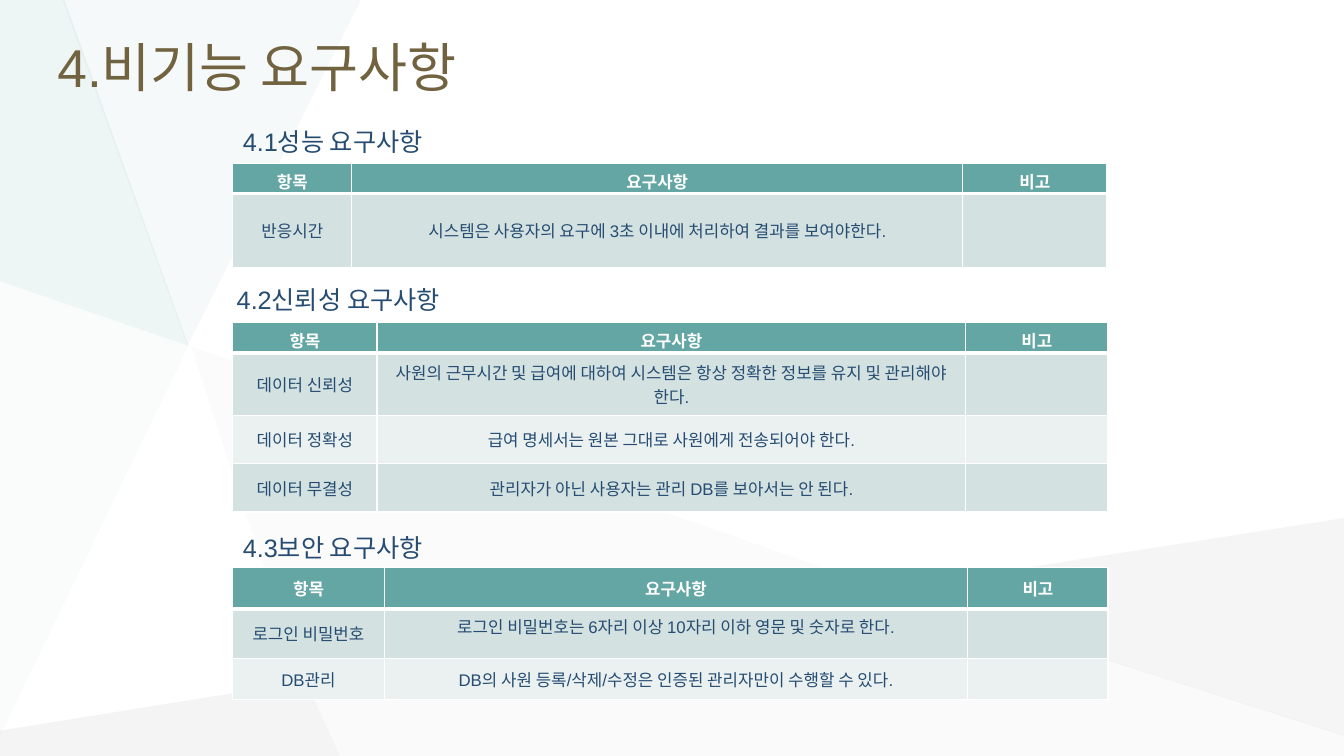
from dataclasses import dataclass

import pptx
import pptx.dml.color
import pptx.enum.text
import pptx.oxml
import pptx.oxml.ns
import pptx.util
from pptx.util import Inches

ANCHOR = pptx.enum.text.MSO_ANCHOR
ALIGN = pptx.enum.text.PP_ALIGN
AUTO_SIZE = pptx.enum.text.MSO_AUTO_SIZE


@dataclass(frozen=True)
class Theme:
    font: str = "Arial"
    title_size: int = 38
    heading_size: int = 18
    cell_size: int = 12
    title: str = "716340"
    ink: str = "264C72"
    white: str = "FFFFFF"
    header: str = "63A6A4"
    bands: tuple = ("D3E1E0", "EAF1F0")
    rule: int = 1
    header_rule: int = 3


THEME = Theme()

# Each facet: colour, opacity in percent, corner points in inches
FACETS = [
    ("F3F2F2", 26, [(1.9, 3.44), (2.41, 5.02), (3.04, 6.76), (8.79, 5.85)]),
    ("B6B8BA", 15, [(3.04, 6.76), (0, 7.25), (0, 7.5), (3.37, 7.5)]),
    ("E0EDED", 31, [(3.58, 0), (0.62, 0), (1.86, 3.43)]),
    ("C6C8CA", 17, [(13.33, 5.14), (8.79, 5.85), (13.33, 7.3)]),
    ("B6B8BA", 6, [(8.79, 5.85), (3.05, 6.76), (3.37, 7.5), (13.33, 7.5), (13.33, 7.29)]),
    ("C1DBDB", 27, [(0.64, 0), (0, 0), (0, 2.79), (1.87, 3.43)]),
    ("C1DBDB", 8, [(0, 2.79), (0, 7.3), (1.87, 3.43)]),
]

TABLE_LEFT = 2.31
COLUMN_TITLES = ("항목", "요구사항", "비고")

SECTIONS = [
    dict(
        heading="4.1성능 요구사항", heading_at=(2.31, 1.2), table_top=1.62,
        columns=(1.18, 6.06, 1.43), heights=(0.3, 0.73),
        requirements=[
            ("반응시간", "시스템은 사용자의 요구에 3초 이내에 처리하여 결과를 보여야한다."),
        ],
    ),
    dict(
        heading="4.2신뢰성 요구사항", heading_at=(2.25, 2.77), table_top=3.2,
        columns=(1.43, 5.84, 1.41), heights=(0.3, 0.62, 0.48, 0.48),
        requirements=[
            ("데이터 신뢰성",
             "사원의 근무시간 및 급여에 대하여 시스템은 항상 정확한 정보를 유지 및 관리해야 한다."),
            ("데이터 정확성", "급여 명세서는 원본 그대로 사원에게 전송되어야 한다."),
            ("데이터 무결성", "관리자가 아닌 사용자는 관리 DB를 보아서는 안 된다."),
        ],
    ),
    dict(
        heading="4.3보안 요구사항", heading_at=(2.31, 5.23), table_top=5.63,
        columns=(1.5, 5.79, 1.39), heights=(0.41, 0.49, 0.41),
        requirements=[
            ("로그인 비밀번호", "로그인 비밀번호는 6자리 이상 10자리 이하 영문 및 숫자로 한다."),
            ("DB관리", "DB의 사원 등록/삭제/수정은 인증된 관리자만이 수행할 수 있다."),
        ],
        raised_cell=(1, 1),
    ),
]


def rgb(colour):
    return pptx.dml.color.RGBColor.from_string(colour)


def apply(target, settings):
    for name, value in settings.items():
        setattr(target, name, value)


def write(frame, text, size, colour, bold=False, align=ALIGN.LEFT):
    paragraph = frame.paragraphs[0]
    paragraph.alignment = align
    if not text:
        end = pptx.oxml.parse_xml(
            f'<a:endParaRPr {pptx.oxml.ns.nsdecls("a")} sz="{size * 100}"/>')
        paragraph._p.append(end)
        return
    run = paragraph.add_run()
    run.text = text
    apply(run.font, {"name": THEME.font, "size": pptx.util.Pt(size), "bold": bold})
    run.font.color.rgb = rgb(colour)


def add_facet(slide, colour, opacity, corners):
    """Draw one translucent polygon of the background."""
    start, *others = [(Inches(x), Inches(y)) for x, y in corners]
    builder = slide.shapes.build_freeform(*start)
    builder.add_line_segments(others, close=True)
    facet = builder.convert_to_shape()
    facet.shadow.inherit = False
    facet.line.fill.background()
    facet.fill.solid()
    facet.fill.fore_color.rgb = rgb(colour)
    tint = facet.element.find(".//" + pptx.oxml.ns.qn("a:srgbClr"))
    tint.append(pptx.oxml.parse_xml(
        f'<a:alpha {pptx.oxml.ns.nsdecls("a")} val="{opacity * 1000}"/>'))


def set_title(slide, text):
    title = slide.shapes.title
    title.element.getparent().append(title.element)  # in front of the facets
    apply(title, {"left": Inches(0.47), "top": Inches(0.14),
                  "width": Inches(12.36), "height": Inches(1.03)})
    apply(title.text_frame, {"vertical_anchor": ANCHOR.MIDDLE, "word_wrap": True,
                             "auto_size": AUTO_SIZE.NONE})
    write(title.text_frame, text, THEME.title_size, THEME.title)


def add_heading(slide, text, left, top):
    box = slide.shapes.add_textbox(Inches(left), Inches(top), Inches(2.64), Inches(0.4))
    apply(box.text_frame, {"word_wrap": True, "auto_size": AUTO_SIZE.SHAPE_TO_FIT_TEXT})
    write(box.text_frame, text, THEME.heading_size, THEME.ink)


def set_borders(cell, bottom):
    widths = {"lnL": THEME.rule, "lnR": THEME.rule, "lnT": THEME.rule, "lnB": bottom}
    properties = cell._tc.get_or_add_tcPr()
    for side, points in widths.items():
        properties.append(pptx.oxml.parse_xml(
            f'<a:{side} {pptx.oxml.ns.nsdecls("a")} w="{pptx.util.Pt(points)}">'
            f'<a:solidFill><a:srgbClr val="{THEME.white}"/></a:solidFill></a:{side}>'))


def style_cell(cell, text, row):
    is_header = row == 0
    set_borders(cell, THEME.header_rule if is_header else THEME.rule)
    cell.fill.solid()
    cell.fill.fore_color.rgb = rgb(THEME.header if is_header else THEME.bands[(row - 1) % 2])
    cell.vertical_anchor = ANCHOR.MIDDLE
    write(cell.text_frame, text, THEME.cell_size,
          THEME.white if is_header else THEME.ink, is_header, ALIGN.CENTER)


def add_requirements(slide, top, columns, heights, requirements, raised_cell=None):
    """Add a table; raised_cell is the (row, column) whose text sits at the top."""
    rows = [COLUMN_TITLES] + [(*requirement, "") for requirement in requirements]
    table = slide.shapes.add_table(
        len(rows), len(columns), Inches(TABLE_LEFT), Inches(top),
        Inches(sum(columns)), Inches(sum(heights))).table
    for column, width in zip(table.columns, columns):
        column.width = Inches(width)
    for r, (texts, height) in enumerate(zip(rows, heights)):
        table.rows[r].height = Inches(height)
        for c, text in enumerate(texts):
            cell = table.cell(r, c)
            style_cell(cell, text, r)
            if height < 0.4:
                cell.margin_bottom = 0
    if raised_cell:
        table.cell(*raised_cell).vertical_anchor = ANCHOR.TOP


def main():
    deck = pptx.Presentation()
    apply(deck, {"slide_width": Inches(13.33), "slide_height": Inches(7.5)})
    slide = deck.slides.add_slide(deck.slide_layouts.get_by_name("Title Only"))
    for facet in FACETS:
        add_facet(slide, *facet)
    set_title(slide, "4.비기능 요구사항")
    for section in SECTIONS:
        add_heading(slide, section["heading"], *section["heading_at"])
        add_requirements(slide, section["table_top"], section["columns"], section["heights"],
                         section["requirements"], section.get("raised_cell"))
    deck.save("out.pptx")


if __name__ == "__main__":
    main()
